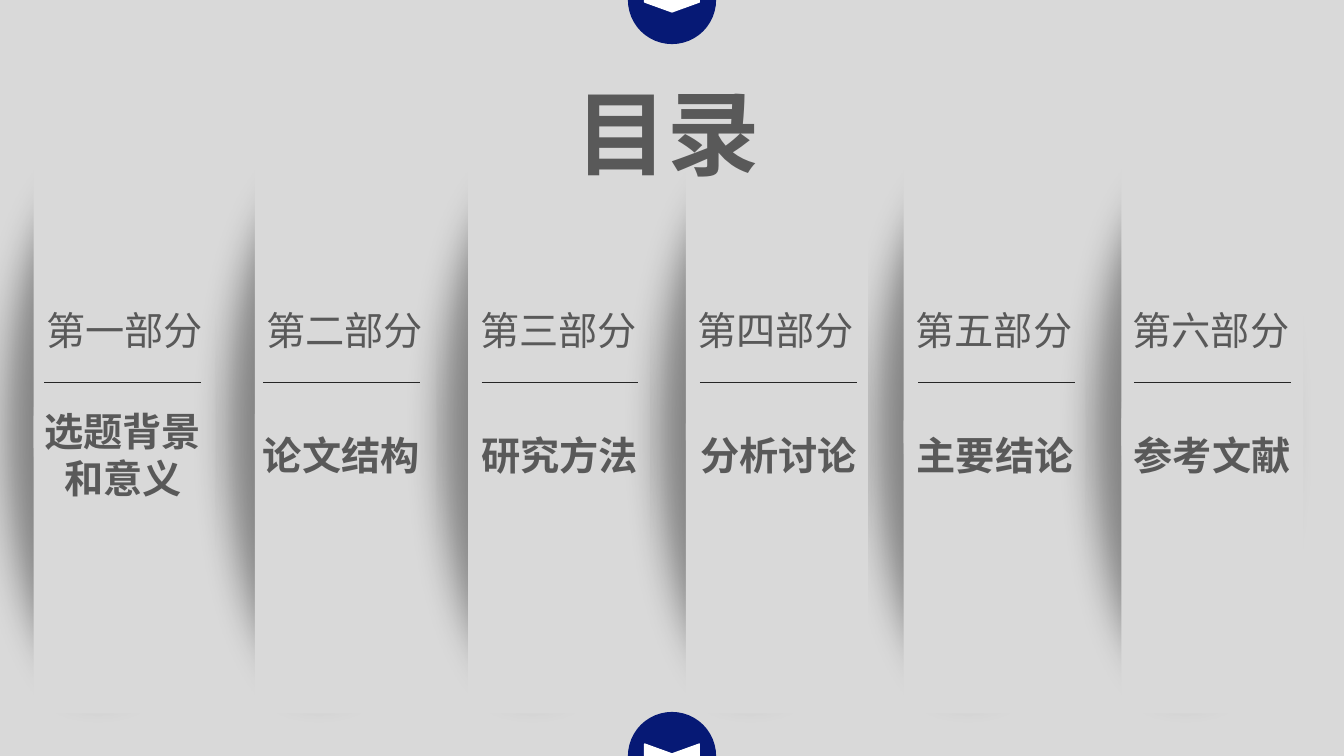
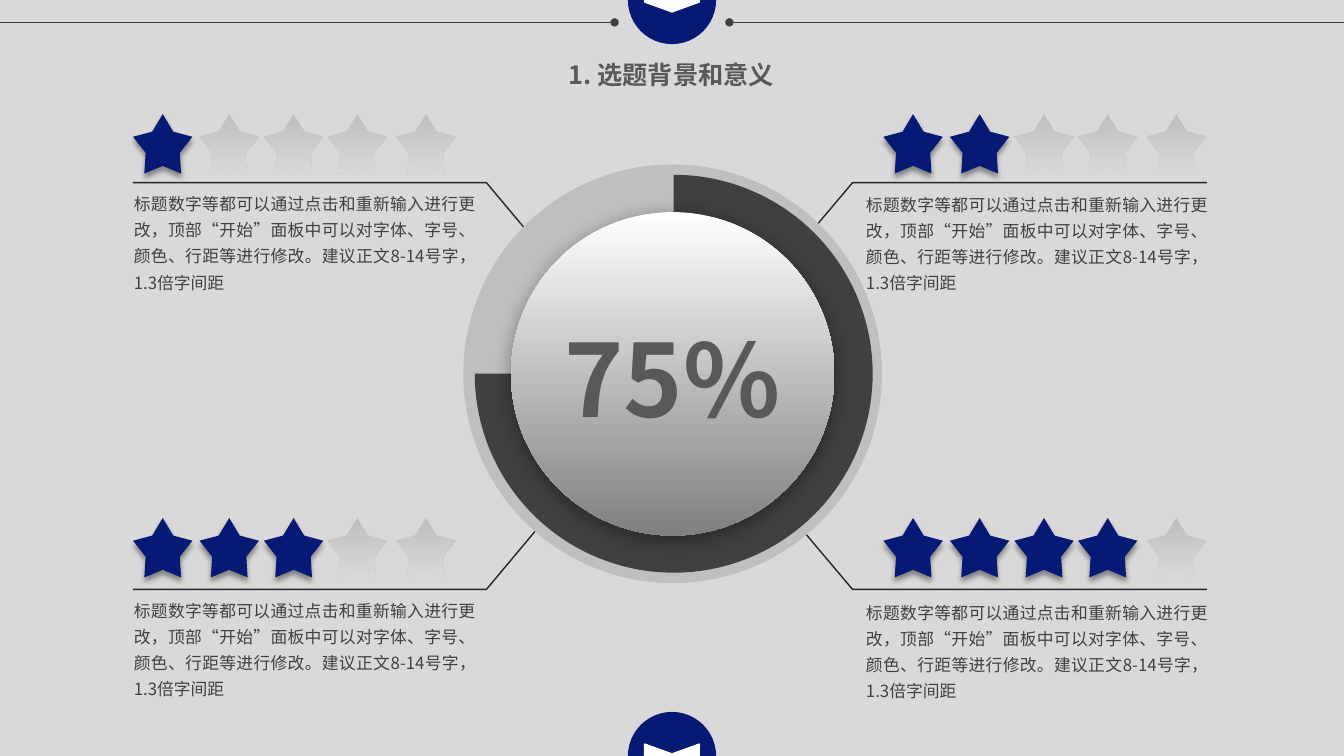
from lxml import etree
from pptx import Presentation
from pptx.chart.data import CategoryChartData
from pptx.dml.color import RGBColor
from pptx.enum.chart import XL_CHART_TYPE
from pptx.enum.shapes import MSO_CONNECTOR, MSO_SHAPE
from pptx.enum.text import PP_ALIGN
from pptx.oxml import parse_xml
from pptx.oxml.ns import nsdecls, qn
from pptx.util import Pt

# Shared look
FONT = "Noto Sans CJK SC"
BACK, NAVY, WHITE = "D9D9D9", "061975", "FFFFFF"
GREY, DARK, INK, PALE = "595959", "404040", "262626", "BFBFBF"
WIDE, HIGH = 960, 540
LEFT, MID, JUST = PP_ALIGN.LEFT, PP_ALIGN.CENTER, PP_ALIGN.JUSTIFY

# Panel left, heading left, rule left, label left, heading, label lines
PARTS = [
    (24, 26, 31.5, 24, "第一部分", ["选题背景", "和意义"]),
    (182, 183, 188, 180, "第二部分", ["论文结构"]),
    (334.5, 336, 344, 336, "第三部分", ["研究方法"]),
    (490, 491, 500, 492.5, "第四部分", ["分析讨论"]),
    (645.5, 647, 656, 647, "第五部分", ["主要结论"]),
    (801, 802, 810, 802, "第六部分", ["参考文献"]),
]
STACK = [0, 1, 2, 4, 5, 3]  # panel order, back to front

BODY = ("标题数字等都可以通过点击和重新输入进行更改，顶部“开始”面板中可以对字体、字号、"
        "颜色、行距等进行修改。建议正文8-14号字，1.3倍字间距")
STARS = [0, 47.5, 93.5, 139, 188]


def color(code):
    return RGBColor.from_string(code)


def paint(shape, fill):
    """Fill with one colour, or top to bottom with a list of stops."""
    if isinstance(fill, str):
        shape.fill.solid()
        shape.fill.fore_color.rgb = color(fill)
        return
    shape.fill.gradient()
    shape.fill.gradient_angle = 270
    for stop, (spot, code) in zip(shape.fill.gradient_stops, fill):
        stop.position = spot
        stop.color.rgb = color(code)


def shade(shape, blur, dist, angle):
    """Black outer shadow at 40% opacity."""
    effect = shape._element.spPr.find(qn("a:effectLst"))
    effect.append(parse_xml(
        f'<a:outerShdw {nsdecls("a")} blurRad="{Pt(blur)}" dist="{Pt(dist)}" '
        f'dir="{angle * 60000}" algn="ctr" rotWithShape="0">'
        '<a:srgbClr val="000000"><a:alpha val="40000"/></a:srgbClr></a:outerShdw>'))


def form(slide, kind, x, y, w, h, fill):
    shape = slide.shapes.add_shape(kind, Pt(x), Pt(y), Pt(w), Pt(h))
    shape.shadow.inherit = False
    paint(shape, fill)
    shape.line.fill.background()
    return shape


def rule(slide, x1, x2, y, code, width, dot=False):
    line = slide.shapes.add_connector(
        MSO_CONNECTOR.STRAIGHT, Pt(x1), Pt(y), Pt(x2), Pt(y))
    line.line.color.rgb = color(code)
    line.line.width = Pt(width)
    props = line._element.spPr
    if dot:
        etree.SubElement(props.get_or_add_ln(), qn("a:tailEnd"), type="oval")
    etree.SubElement(props, qn("a:effectLst"))


def text(slide, x, y, w, h, lines, size, code=GREY, bold=False,
         align=LEFT, wrap=False, space=None):
    frame = slide.shapes.add_textbox(Pt(x), Pt(y), Pt(w), Pt(h)).text_frame
    frame.word_wrap = wrap
    for i, line in enumerate(lines):
        para = frame.paragraphs[0] if i == 0 else frame.add_paragraph()
        para.alignment = align
        if space:
            para.line_spacing = space
        run = para.add_run()
        run.text = line
        font = run.font
        font.size, font.bold, font.name = Pt(size), bold, FONT
        font.color.rgb = color(code)
        etree.SubElement(run._r.get_or_add_rPr(), qn("a:ea"), typeface=FONT)


def badge(slide, x, y):
    """Navy disc with a white chevron, centred on a point."""
    form(slide, MSO_SHAPE.OVAL, x - 31.5, y - 31.5, 63, 63, NAVY)
    mark = form(slide, MSO_SHAPE.CHEVRON, x - 8.5, y - 19.5, 17, 39, WHITE)
    mark.adjustments[0] = 0.415
    mark.rotation = 90
    mark.line.color.rgb = color(WHITE)
    mark.line.width = Pt(1)


def badges(slide):
    for y in (HIGH, 0):
        badge(slide, WIDE / 2, y)


def start(deck):
    slide = deck.slides.add_slide(deck.slide_layouts[6])
    slide.background.fill.solid()
    slide.background.fill.fore_color.rgb = color(BACK)
    return slide


# Contents slide
def panel(slide, x, y, w, h):
    """A sheet whose left edge throws a curved shadow."""
    oval = form(slide, MSO_SHAPE.OVAL, x, y + 29.5, w, h - 47, BACK)
    shade(oval, 27, 19, 180)
    form(slide, MSO_SHAPE.RECTANGLE, x, y, w, h, BACK)


def toc(deck):
    slide = start(deck)
    for i in STACK:
        panel(slide, PARTS[i][0], 95.5, 130, 414)
    text(slide, 404, 50.5, 148, 87, ["目录"], 66, bold=True)
    for _, head, left, label, name, lines in PARTS:
        text(slide, head, 215.5, 127.5, 41, [name], 28)
        rule(slide, left, left + 112, 273, INK, 0.5)
        tall = 41 + 34 * (len(lines) - 1)
        text(slide, label, 325 - tall / 2, 127.5, tall, lines, 28,
             bold=True, align=MID)
    badges(slide)


# Rating slide
def callout(slide, points):
    (x, y), *rest = [(Pt(a), Pt(b)) for a, b in points]
    path = slide.shapes.build_freeform(x, y, scale=1.0)
    path.add_line_segments(rest, close=False)
    shape = path.convert_to_shape()
    shape.shadow.inherit = False
    shape.fill.background()
    shape.line.color.rgb = color(INK)
    shape.line.width = Pt(1)


def rating(slide, x, y, count):
    """Row of five stars, the first ones lit."""
    for i, step in enumerate(STARS):
        lit = i < count
        fill = NAVY if lit else [(0.03, PALE), (1, BACK)]
        star = form(slide, MSO_SHAPE.STAR_5_POINT, x + step, y, 42.5, 42.5, fill)
        star.adjustments[0] = 0.287
        if lit:
            shade(star, 4, 3, 90)


def ring(slide, x, y, w, h):
    """Doughnut chart."""
    data = CategoryChartData()
    data.categories = ["1", "2"]
    data.add_series("Series 1", [75, 25])
    chart = slide.shapes.add_chart(
        XL_CHART_TYPE.DOUGHNUT, Pt(x), Pt(y), Pt(w), Pt(h), data).chart
    chart.has_legend = chart.has_title = False
    chart.font.size, chart.font.name = Pt(10), FONT
    chart.font.color.rgb = color("000000")
    plot = chart.plots[0]
    plot.vary_by_categories = False
    points = plot.series[0].points
    for i in range(2):
        points[i].format.line.fill.background()
    paint(points[0].format, DARK)
    points[1].format.fill.background()
    plot._element.find(qn("c:holeSize")).set("val", "52")
    # Fixed plot area
    area = chart._chartSpace.chart.plotArea
    for old in area.findall(qn("c:layout")):
        area.remove(old)
    spots = "".join(f'<c:{k} val="{v}"/>' for k, v in [
        ("layoutTarget", "inner"), ("xMode", "edge"), ("yMode", "edge"),
        ("x", 0.19), ("y", 0.03), ("w", 0.62), ("h", 0.94)])
    area.insert(0, parse_xml(
        f'<c:layout {nsdecls("c")}><c:manualLayout>{spots}</c:manualLayout></c:layout>'))


def dial(slide, x, y, size):
    """Pale rim, chart ring, raised disc and figure."""
    rim = form(slide, MSO_SHAPE.DONUT, x, y, size, size, PALE)
    rim.adjustments[0] = 0.18
    ring(slide, x - 79, y - 3.5, 458.5, 306)
    disc = form(slide, MSO_SHAPE.OVAL, x + 34, y + 34, 231, 231,
                [(0, WHITE), (1, "808080")])
    shade(disc, 14, 3, 90)
    text(slide, x + 65, y + 105.5, 172, 94, ["75%"], 72, bold=True)


def topic(deck):
    slide = start(deck)
    # Star left, star top, rule height, text left, text top, lit stars
    blocks = [
        (95, 81.5, 130.5, 88.5, 130.5, 1),
        (631, 81.5, 130.5, 611.5, 131, 2),
        (95, 370, 421, 88.5, 421, 3),
        (631, 370, 421, 611.5, 422.5, 4),
    ]
    # Leader lines run from the dial out to each block
    for x, _, y, *_ in blocks:
        near, bend, far = (396, 347.5, 95) if x < WIDE / 2 else (560, 609, 862)
        end = y + 58 if y < HIGH / 2 else y - 58
        callout(slide, [(near, end), (bend, y), (far, y)])
    # Title band
    for edge, stop in ((0, 439), (WIDE, 521)):
        rule(slide, edge, stop, 16, DARK, 1.25, dot=True)
    text(slide, 396, 39, 167, 29, ["1. 选题背景和意义"], 18, bold=True, align=MID)
    dial(slide, 331, 117.5, 299)
    # Ratings and notes
    for x, y, _, left, top, count in blocks:
        rating(slide, x, y, count)
        text(slide, left, top, 258.5, 83, [BODY], 12, DARK,
             align=JUST, wrap=True, space=1.3)
    badges(slide)


def main():
    deck = Presentation()
    deck.slide_width, deck.slide_height = Pt(WIDE), Pt(HIGH)
    toc(deck)
    topic(deck)
    deck.save("out.pptx")


if __name__ == "__main__":
    main()
